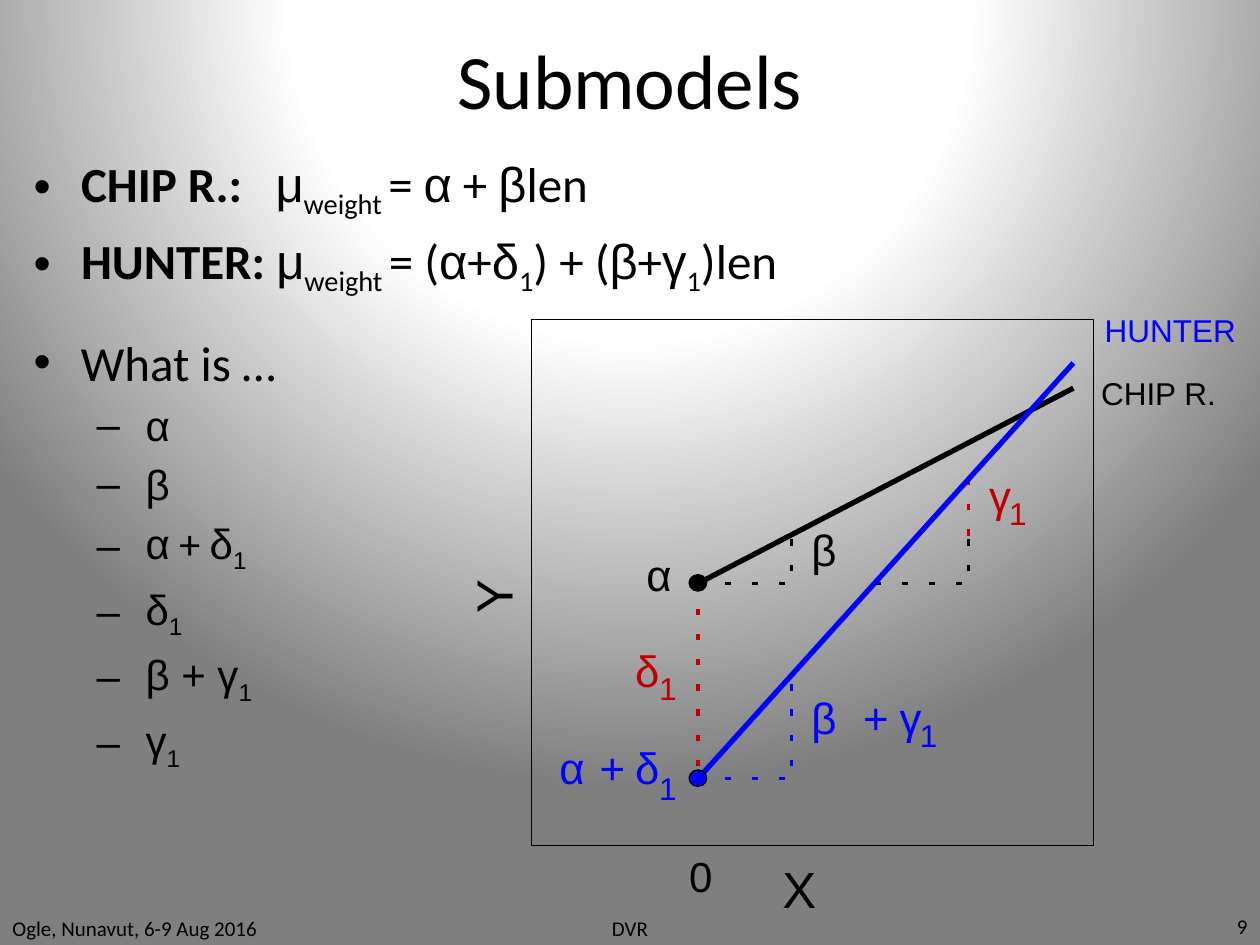
"""Build the Submodels slide with its regression line diagram."""
from lxml import etree
from pptx import Presentation
from pptx.dml.color import RGBColor
from pptx.enum.shapes import MSO_CONNECTOR, MSO_SHAPE
from pptx.enum.text import MSO_ANCHOR, MSO_AUTO_SIZE, PP_ALIGN
from pptx.oxml import parse_xml
from pptx.oxml.ns import qn
from pptx.util import Pt

BLACK = RGBColor(0x00, 0x00, 0x00)
BLUE = RGBColor(0x00, 0x00, 0xFF)
RED = RGBColor(0xC0, 0x00, 0x00)
ARIAL, CALIBRI = "Arial", "Calibri"
LEFT, CENTER, RIGHT = PP_ALIGN.LEFT, PP_ALIGN.CENTER, PP_ALIGN.RIGHT
TOP, MIDDLE = MSO_ANCHOR.TOP, MSO_ANCHOR.MIDDLE
STRAIGHT = MSO_CONNECTOR.STRAIGHT
GREEK = set("αβγδμ")

deck = Presentation()
deck.slide_width, deck.slide_height = Pt(720), Pt(540)
page = deck.slides.add_slide(deck.slide_layouts[6])

page.background.fill.gradient()
gradient = page.element.find(".//" + qn("a:gradFill"))
gradient.getparent().replace(gradient, parse_xml(
    '<a:gradFill xmlns:a="http://schemas.openxmlformats.org/drawingml/2006/main"'
    ' rotWithShape="1"><a:gsLst>'
    '<a:gs pos="40000"><a:srgbClr val="FEFEFE"/></a:gs>'
    '<a:gs pos="43000"><a:srgbClr val="FFFFFF"/></a:gs>'
    '<a:gs pos="100000"><a:srgbClr val="7F7F7F"/></a:gs></a:gsLst>'
    '<a:path path="circle"><a:fillToRect l="50000" t="-80000" r="50000" b="180000"/>'
    '</a:path></a:gradFill>'))


def add_box(left, top, width, height, text="", size=12, name=CALIBRI,
            color=BLACK, align=LEFT, anchor=TOP):
    box = page.shapes.add_textbox(Pt(left), Pt(top), Pt(width), Pt(height))
    frame = box.text_frame
    frame.word_wrap = True
    frame.vertical_anchor = anchor
    para = frame.paragraphs[0]
    para.text = text
    para.alignment = align
    para.font.size, para.font.name = Pt(size), name
    para.font.color.rgb = color
    return box


def add_line(x1, y1, x2, y2, color, width):
    line = page.shapes.add_connector(STRAIGHT, Pt(x1), Pt(y1), Pt(x2), Pt(y2))
    line.line.color.rgb = color
    line.line.width = Pt(width)
    etree.SubElement(line.element.spPr, qn("a:effectLst"))


add_box(36, 0, 648, 90, "Submodels", 44, align=CENTER, anchor=MIDDLE)
add_box(0, 520.5, 168, 19.5, "Ogle, Nunavut, 6-9 Aug 2016", anchor=MIDDLE)
add_box(246, 520.5, 228, 19.5, "DVR", align=CENTER, anchor=MIDDLE)
add_box(552, 518.4, 168, 21.6, "9", align=RIGHT, anchor=MIDDLE)

DASHES = [
    (BLACK, 414, 333.4, 15.5, 0, 3, 3.8),
    (BLACK, 452.2, 326.2, 0, -14.4, 2, 3.6),
    (BLUE, 414, 445, 15.5, 0, 3, 3.8),
    (BLUE, 452.2, 437.8, 0, -14.4, 4, 3.6),
    (RED, 398.9, 347.8, 0, 14.4, 7, 3.6),
    (BLACK, 499.7, 333.4, 15.5, 0, 4, 3.8),
    (BLACK, 553.5, 326.2, 0, -14.4, 2, 3.6),
    (RED, 553.5, 306, 0, -14.4, 2, 3.6),
    (RED, 553.5, 277.2, 0, -14.4, 1, 2.2),
]
for color, x, y, step_x, step_y, count, length in DASHES:
    share = length / abs(step_x + step_y)
    for index in range(count):
        x1, y1 = x + index * step_x, y + index * step_y
        add_line(x1, y1, x1 + share * step_x, y1 + share * step_y, color, 2)

plot = page.shapes.add_shape(MSO_SHAPE.RECTANGLE, Pt(303.8), Pt(182.5), Pt(321.1), Pt(300.8))
plot.shadow.inherit = False
plot.fill.background()
plot.line.color.rgb = BLACK
plot.line.width = Pt(0)

for color, start, end in [(BLACK, 333.4, 221.8), (BLUE, 445, 207.4)]:
    add_line(398.9, start, 613.4, end, color, 3)
    dot = page.shapes.add_shape(MSO_SHAPE.OVAL, Pt(393.8), Pt(start - 5), Pt(10.1), Pt(9.4))
    dot.shadow.inherit = False
    dot.fill.solid()
    dot.fill.fore_color.rgb = color
    dot.line.color.rgb = BLACK
    dot.line.width = Pt(0)

LABELS = [
    ("α", 369.4, 313.2, 34.6, 38.2, 25, BLACK),
    ("α", 319.7, 423.4, 34.6, 38.2, 25, BLUE),
    ("+", 342.7, 423.4, 31.7, 38.2, 25, BLUE),
    ("δ", 362.9, 423.4, 31, 38.2, 25, BLUE),
    ("1", 376.6, 439.2, 19.4, 23.8, 18, BLUE),
    ("β", 463.7, 298.8, 33.1, 38.2, 25, BLACK),
    ("β", 463.7, 394.6, 33.1, 38.2, 25, BLUE),
    ("+", 493.2, 394.6, 31.7, 38.2, 25, BLUE),
    ("γ", 514.1, 394.6, 28.1, 38.2, 25, BLUE),
    ("1", 525.6, 409, 19.4, 23.8, 18, BLUE),
    ("δ", 362.9, 367.9, 12.2, 30.2, 25, RED),
    ("1", 376.6, 382.3, 10.1, 21.6, 18, RED),
    ("γ", 565.2, 267.8, 10.1, 30.2, 25, RED),
    ("1", 576.7, 282.2, 10.1, 21.6, 18, RED),
    ("X", 447.1, 490.3, 33.1, 39.6, 29, BLACK),
    ("Y", 266.4, 313.2, 34.6, 39.6, 29, BLACK),
    ("0", 393.8, 486, 25.2, 32.4, 24, BLACK),
    ("CHIP R.", 622.1, 210.2, 80.6, 28.8, 18, BLACK),
    ("HUNTER", 624.2, 174.2, 90, 28.8, 18, BLUE),
]
for text, left, top, width, height, size, color in LABELS:
    label = add_box(left, top, width, height, text, size, ARIAL, color)
    frame = label.text_frame
    frame.word_wrap = False
    frame.auto_size = MSO_AUTO_SIZE.SHAPE_TO_FIT_TEXT
    if len(text) == 1:
        frame.margin_left = frame.margin_right = frame.margin_top = frame.margin_bottom = 0
    if text == "Y":
        label.rotation = 270

LEVELS = [
    (28, 27, -27, "•", CALIBRI),
    (24, 58.5, -22.5, "–", ARIAL),
]
MODELS = [
    (0, "*CHIP R.:| |μ|_weight |= |α| + |β|len", 12.7),
    (0, "*HUNTER:| |μ|_weight |= (|α|+|δ|_1|) + (|β|+|γ|_1|)len", 0),
]
QUESTIONS = [(0, "What is …", 0)] + [
    (1, " |" + term, 0)
    for term in ("α", "β", "α| + |δ|_1", "δ|_1", "β + γ|_1", "γ|_1")
]
BLOCKS = [
    ((12.2, 84.2, 689.8, 95.8), MODELS),
    ((12.2, 186.5, 203.8, 263.5), QUESTIONS),
]
for place, rows in BLOCKS:
    frame = add_box(*place).text_frame
    for number, (level, markup, gap) in enumerate(rows):
        para = frame.add_paragraph() if number else frame.paragraphs[0]
        size, margin, indent, mark, subscript_font = LEVELS[level]
        para.level = level
        para.space_before = Pt(size * 0.2)
        para.font.size = Pt(size)
        para.font.color.rgb = BLACK
        properties = para._p.get_or_add_pPr()
        properties.set("marL", str(Pt(margin)))
        properties.set("indent", str(Pt(indent)))
        bullet = etree.Element(qn("a:buChar"), char=mark)
        properties.find(qn("a:defRPr")).addprevious(bullet)
        bullet.addprevious(etree.Element(qn("a:buFont"), typeface=ARIAL))
        for piece in markup.split("|"):
            span = para.add_run()
            span.text = piece.lstrip("*_")
            span.font.name = ARIAL if GREEK & set(piece) else CALIBRI
            if piece.startswith("*"):
                span.font.bold = True
            if piece.startswith("_"):
                span.font.name = subscript_font
                span._r.get_or_add_rPr().set("baseline", "-25000")
            if piece == " " and gap:
                span._r.get_or_add_rPr().set("spc", str(round(gap * 100)))

deck.save("out.pptx")
